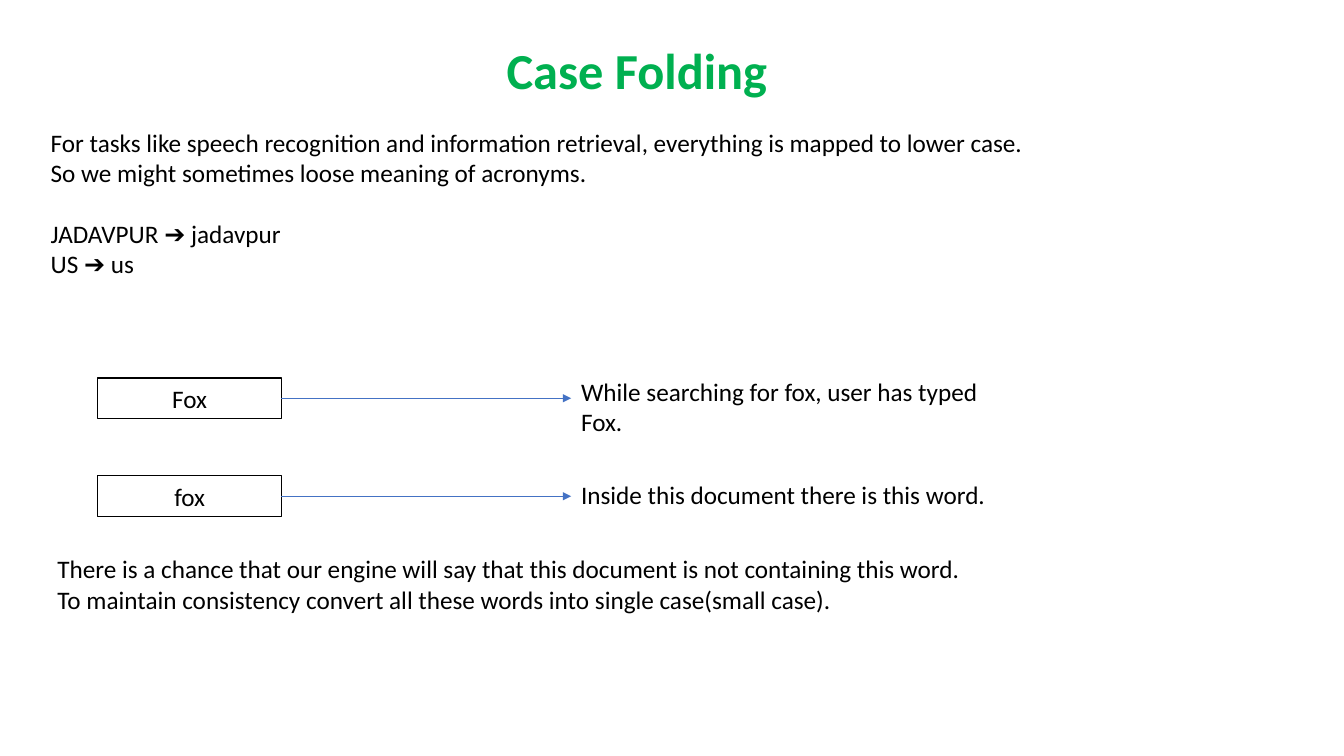
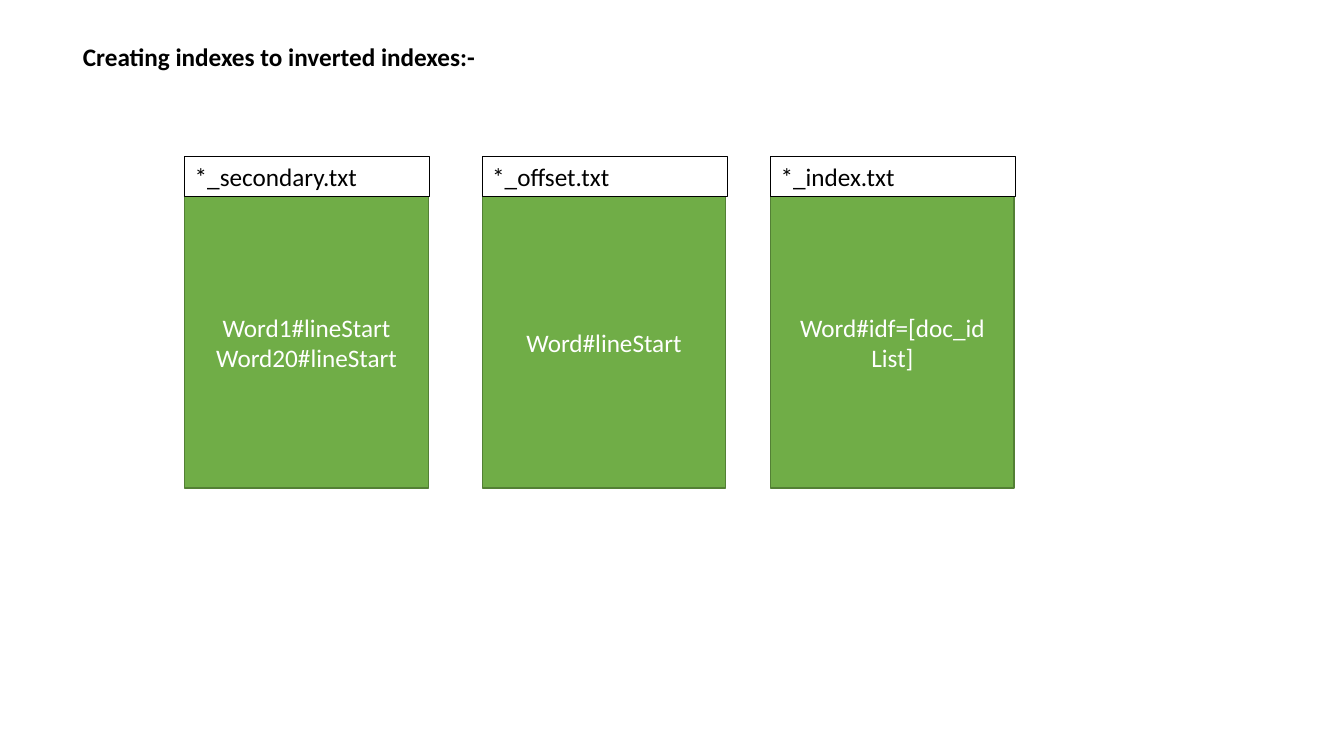
import pptx
import pptx.dml.color
import pptx.enum.shapes
import pptx.enum.text
import pptx.oxml.ns
import pptx.util
import lxml.etree

Pt = pptx.util.Pt
ALIGN = pptx.enum.text.PP_ALIGN
ANCHOR = pptx.enum.text.MSO_ANCHOR
RECTANGLE = pptx.enum.shapes.MSO_SHAPE.RECTANGLE

# Shared style
FONT = "Calibri"
TEXT_SIZE = 18
BLACK, WHITE = "000000", "FFFFFF"
TITLE_GREEN, BOX_GREEN, BOX_EDGE = "00B050", "70AD47", "538035"
ARROW_BLUE = "4472C4"


def color(hex_string):
    return pptx.dml.color.RGBColor.from_string(hex_string)


def write(shape, place, text, size=TEXT_SIZE, ink=BLACK, bold=False,
          align=ALIGN.LEFT, anchor=ANCHOR.TOP):
    """Place a shape and fill it with evenly formatted text."""
    shape.left, shape.top, shape.width, shape.height = map(Pt, place)
    frame = shape.text_frame
    frame.text = text
    frame.word_wrap = True
    frame.auto_size = pptx.enum.text.MSO_AUTO_SIZE.NONE
    frame.vertical_anchor = anchor
    for paragraph in frame.paragraphs:
        paragraph.alignment = align
        paragraph.space_before = Pt(0)
        for run in paragraph.runs:
            run.font.name = FONT
            run.font.size = Pt(size)
            run.font.bold = bold
            run.font.color.rgb = color(ink)


presentation = pptx.Presentation()
presentation.slide_width, presentation.slide_height = Pt(960), Pt(540)
title_and_content, title_only = (presentation.slide_layouts[i] for i in (1, 5))

# Slide 1: title and introduction
slide = presentation.slides.add_slide(title_and_content)
title, body = slide.placeholders
write(title, (41, 17, 828, 70), "Case Folding", size=36, ink=TITLE_GREEN,
      bold=True, align=ALIGN.CENTER, anchor=ANCHOR.MIDDLE)
title.text_frame.paragraphs[0].line_spacing = 0.9

write(body, (29, 87, 897, 160), "\n".join([
    "For tasks like speech recognition and information retrieval, "
    "everything is mapped to lower case.",
    "So we might sometimes loose meaning of acronyms.",
    "JADAVPUR ➔ jadavpur",
    "US ➔ us",
]))
paragraphs = body.text_frame.paragraphs
for paragraph in paragraphs:
    properties = paragraph._p.get_or_add_pPr()
    properties.set("marL", "0")
    properties.set("indent", "0")
    lxml.etree.SubElement(properties, pptx.oxml.ns.qn("a:buNone"))
paragraphs[2].space_before = Pt(22)

# Words, each with an arrow to its explanation
words = [
    ("Fox", 270, "While searching for fox, user has typed Fox.", 265, 51),
    ("fox", 340, "Inside this document there is this word.", 339, 29),
]
for word, top, explanation, text_top, text_height in words:
    box = slide.shapes.add_shape(RECTANGLE, 0, 0, 0, 0)
    write(box, (70, top, 131, 29), word, align=ALIGN.CENTER)
    box.shadow.inherit = False
    box.fill.background()
    box.line.color.rgb = color(BLACK)
    box.line.width = Pt(0.75)

    middle = Pt(top + 14.5)
    arrow = slide.shapes.add_connector(
        pptx.enum.shapes.MSO_CONNECTOR.STRAIGHT, Pt(201), middle, Pt(408), middle)
    arrow.begin_connect(box, 3)
    arrow.line.color.rgb = color(ARROW_BLUE)
    arrow.line.width = Pt(0.5)
    line = arrow.line._get_or_add_ln()
    lxml.etree.SubElement(line, pptx.oxml.ns.qn("a:tailEnd"), type="triangle")
    lxml.etree.SubElement(arrow._element.spPr, pptx.oxml.ns.qn("a:effectLst"))

    write(slide.shapes.add_textbox(0, 0, 0, 0),
          (408, text_top, 329, text_height), explanation)

# Conclusion
write(slide.shapes.add_textbox(0, 0, 0, 0), (34, 392, 676, 51),
      "There is a chance that our engine will say that this document "
      "is not containing this word.\n"
      "To maintain consistency convert all these words into single case(small case).")

# Slide 2: title
slide = presentation.slides.add_slide(title_only)
write(slide.shapes.title, (52, 26, 830, 29),
      "Creating indexes to inverted indexes:-", bold=True)

# Index files: content panel under a name box
files = [
    (132, "*_secondary.txt", "Word1#lineStart\nWord20#lineStart"),
    (344.5, "*_offset.txt", "Word#lineStart"),
    (550.5, "*_index.txt", "Word#idf=[doc_id List]"),
]
for left, name, content in files:
    panel = slide.shapes.add_shape(RECTANGLE, 0, 0, 0, 0)
    write(panel, (left, 140.5, 174, 208), content, ink=WHITE,
          align=ALIGN.CENTER, anchor=ANCHOR.MIDDLE)
    panel.shadow.inherit = False
    panel.fill.solid()
    panel.fill.fore_color.rgb = color(BOX_GREEN)
    panel.line.color.rgb = color(BOX_EDGE)
    panel.line.width = Pt(1)

    name_box = slide.shapes.add_textbox(0, 0, 0, 0)
    write(name_box, (left, 111.5, 175, 29), name)
    name_box.line.color.rgb = color(BLACK)
    name_box.line.width = Pt(0.75)

presentation.save("out.pptx")
